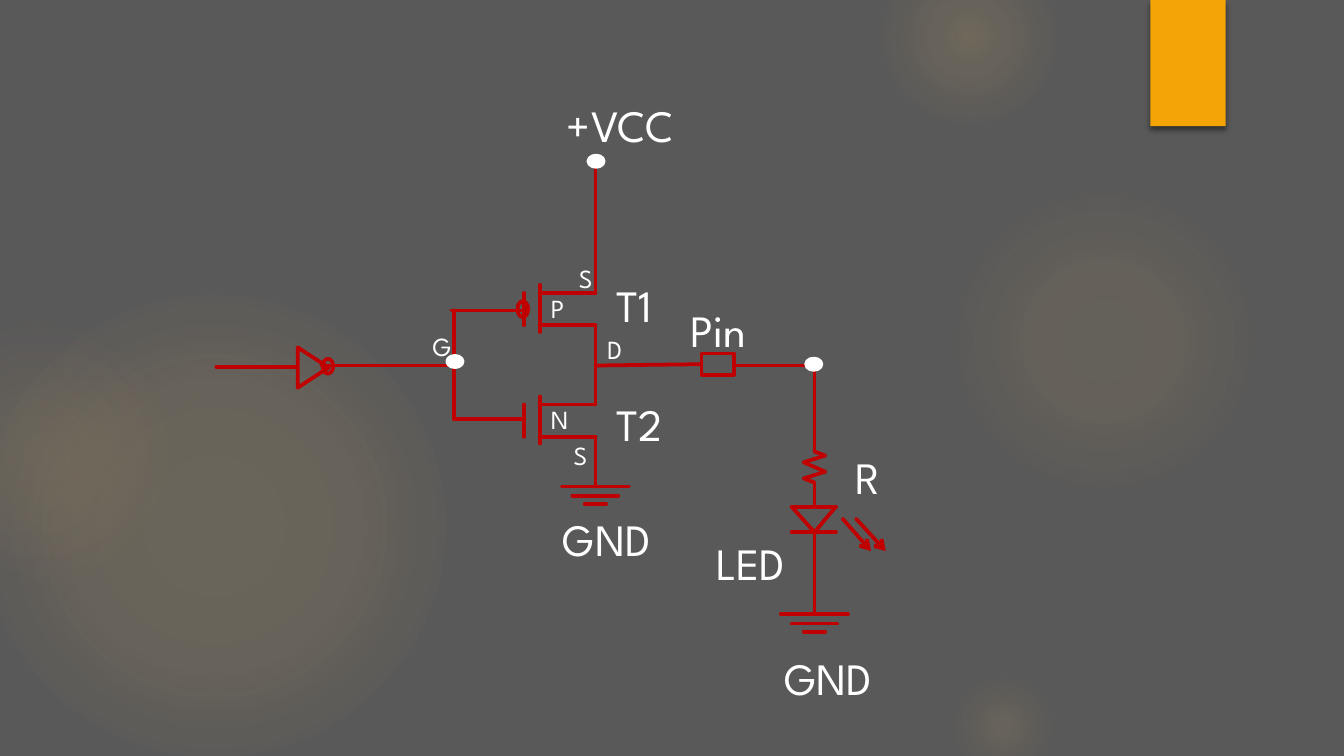
from itertools import pairwise
from pptx import Presentation
from pptx.dml.color import RGBColor as Color
from pptx.enum.shapes import MSO_CONNECTOR as Link, MSO_SHAPE as Form
from pptx.enum.text import MSO_AUTO_SIZE as Fit
from pptx.oxml import parse_xml
from pptx.oxml.ns import nsdecls
from pptx.util import Inches, Pt

COLS = 1000
WIDE = Inches(10)
CELL = WIDE // COLS

THEME = {
    "back": "595959", "wire": "C00000", "text": "FFFFFF", "tab": "F5A408",
    "glow": "FAC96A", "warm": "F59B74", "dark": "000000",
    "font": "League Spartan", "big": 24, "small": 14, "pen": 2, "rim": 2.25,
}

GLOWS = [
    (-13, 219, 344, [(0, "glow", 11), (36, "glow", 10), (75, "glow", 0)]),
    (-69, 238, 194, [(0, "glow", 8), (36, "glow", 5), (71, "warm", 0)]),
    (706, 138, 231, [(0, "glow", 7), (36, "glow", 6), (69, "glow", 0)]),
    (656, -38, 131, [(0, "glow", 14), (36, "glow", 7), (73, "glow", 0)]),
    (706, 500, 81, [(0, "glow", 10), (31, "glow", 5), (66, "glow", 0)]),
]
TAB = (856, 0, 56, 94)

GATES = [(402, 212), (402, 295)]
GATE = [
    [(0, 0), (0, 35)],
    [(-12, 6), (-12, 30)],
    [(0, 6), (41, 6)],
    [(0, 30), (41, 30)],
]
GROUNDS = [(443, 362), (606, 457)]
GROUND = [
    [(-25, 0), (25, 0)],
    [(-17, 7), (17, 7)],
    [(-8, 13), (8, 13)],
]
WIRES = [
    [(161, 273), (221, 273)],
    [(239, 272), (338, 272)],
    [(389, 231), (336, 231)],
    [(338, 231), (338, 312), (389, 312)],
    [(443, 124), (443, 218)],
    [(443, 242), (443, 301)],
    [(443, 325), (443, 362)],
    [(443, 272), (522, 271)],
    [(546, 272), (610, 272)],
    [(606, 272), (606, 336), (614, 339), (598, 344), (614, 351),
     (598, 356), (606, 359), (606, 377)],
    [(589, 377), (622, 377), (606, 396), (589, 377)],
    [(589, 396), (622, 396)],
    [(606, 396), (606, 457)],
]
RAYS = [[(627, 386), (648, 410)], [(637, 386), (659, 410)]]

PARTS = [
    (Form.RECTANGLE, (522, 263, 24, 16), 0),
    (Form.OVAL, (385, 224, 8, 12), 0),
    (Form.ISOSCELES_TRIANGLE, (218, 262, 30, 23), 90),
    (Form.OVAL, (240, 267, 8, 11), 0),
]
NODES = [(600, 267), (438, 116), (333, 265)]
NODE = (11, 8)

LABELS = {
    "big": [
        ("GND", 409, 376, 100, False), ("GND", 574, 479, 100, False),
        ("+VCC", 412, 68, 119, False), ("Pin", 504, 220, 67, False),
        ("LED", 523, 394, 79, False), ("R", 627, 330, 41, False),
        ("T1", 449, 202, 61, True), ("T2", 449, 290, 61, True),
    ],
    "small": [
        ("G", 312, 241, 37, False), ("S", 417, 322, 30, False),
        ("N", 400, 295, 35, False), ("S", 421, 190, 30, False),
        ("P", 400, 213, 32, False), ("D", 442, 243, 35, False),
    ],
}
ROWS = {"big": 50, "small": 34}


def tone(name):
    return Color.from_string(THEME[name])


def grid(nums):
    return [CELL * n for n in nums]


def style(item, form):
    for key, val in form.items():
        setattr(item, key, val)


def shape(kind, box, fill=None, line=None, pen="pen", turn=0):
    item = slide.shapes.add_shape(kind, *grid(box))
    item.shadow.inherit = False
    item.rotation = turn
    for part, name in ((item.fill, fill), (item.line.fill, line)):
        if name:
            part.solid()
            part.fore_color.rgb = tone(name)
        else:
            part.background()
    if line:
        item.line.width = Pt(THEME[pen])
    return item


def glow(left, top, size, stops):
    item = shape(Form.OVAL, (left, top, size, size))
    marks = "".join(
        f'<a:gs pos="{pos * 1000}"><a:srgbClr val="{THEME[name]}">'
        f'<a:alpha val="{share * 1000}"/></a:srgbClr></a:gs>'
        for pos, name, share in stops)
    fill = parse_xml(
        f'<a:gradFill {nsdecls("a")}><a:gsLst>{marks}</a:gsLst>'
        '<a:path path="circle"><a:fillToRect l="50000" t="50000" '
        'r="50000" b="50000"/></a:path></a:gradFill>')
    props = item.element.spPr
    props.replace(props.find("{*}noFill"), fill)


def wire(points, shift=(0, 0), head=False):
    spots = [(x + shift[0], y + shift[1]) for x, y in points]
    for start, end in pairwise(spots):
        item = slide.shapes.add_connector(
            Link.STRAIGHT, *grid(start + end))
        item.line.color.rgb = tone("wire")
        item.line.width = Pt(THEME["pen"])
        props = item.element.spPr
        edge = props.find("{*}ln")
        edge.set("cap", "rnd")
        if head:
            edge.append(parse_xml(
                f'<a:tailEnd {nsdecls("a")} type="arrow"/>'))
        props.append(parse_xml(f'<a:effectLst {nsdecls("a")}/>'))


def label(text, left, top, cols, wrap, size):
    box = slide.shapes.add_textbox(*grid((left, top, cols, ROWS[size])))
    frame = box.text_frame
    style(frame, {"word_wrap": wrap, "auto_size": Fit.SHAPE_TO_FIT_TEXT})
    run = frame.paragraphs[0].add_run()
    run.text = text
    style(run.font, {"name": THEME["font"], "size": Pt(THEME[size])})
    run.font.color.rgb = tone("text")


deck = Presentation()
style(deck, {"slide_width": WIDE, "slide_height": WIDE * 9 // 16})
slide = deck.slides.add_slide(deck.slide_layouts[6])
slide.background.fill.solid()
slide.background.fill.fore_color.rgb = tone("back")

for spot in GLOWS:
    glow(*spot)
tab = shape(Form.RECTANGLE, TAB, "tab")
tab.element.spPr.find("{*}effectLst").append(parse_xml(
    f'<a:outerShdw {nsdecls("a")} blurRad="{Pt(3)}" dist="{Pt(2)}" '
    f'dir="5400000" rotWithShape="0"><a:srgbClr val="{THEME["dark"]}">'
    '<a:alpha val="45000"/></a:srgbClr></a:outerShdw>'))

for sign, spots in ((GATE, GATES), (GROUND, GROUNDS)):
    for spot in spots:
        for path in sign:
            wire(path, spot)
for path in WIRES:
    wire(path)
for ray in RAYS:
    wire(ray, head=True)
for kind, box, turn in PARTS:
    shape(kind, box, line="wire", turn=turn)
for node in NODES:
    shape(Form.OVAL, node + NODE, "text", "text", "rim")
for size, rows in LABELS.items():
    for row in rows:
        label(*row, size)

deck.save("out.pptx")
